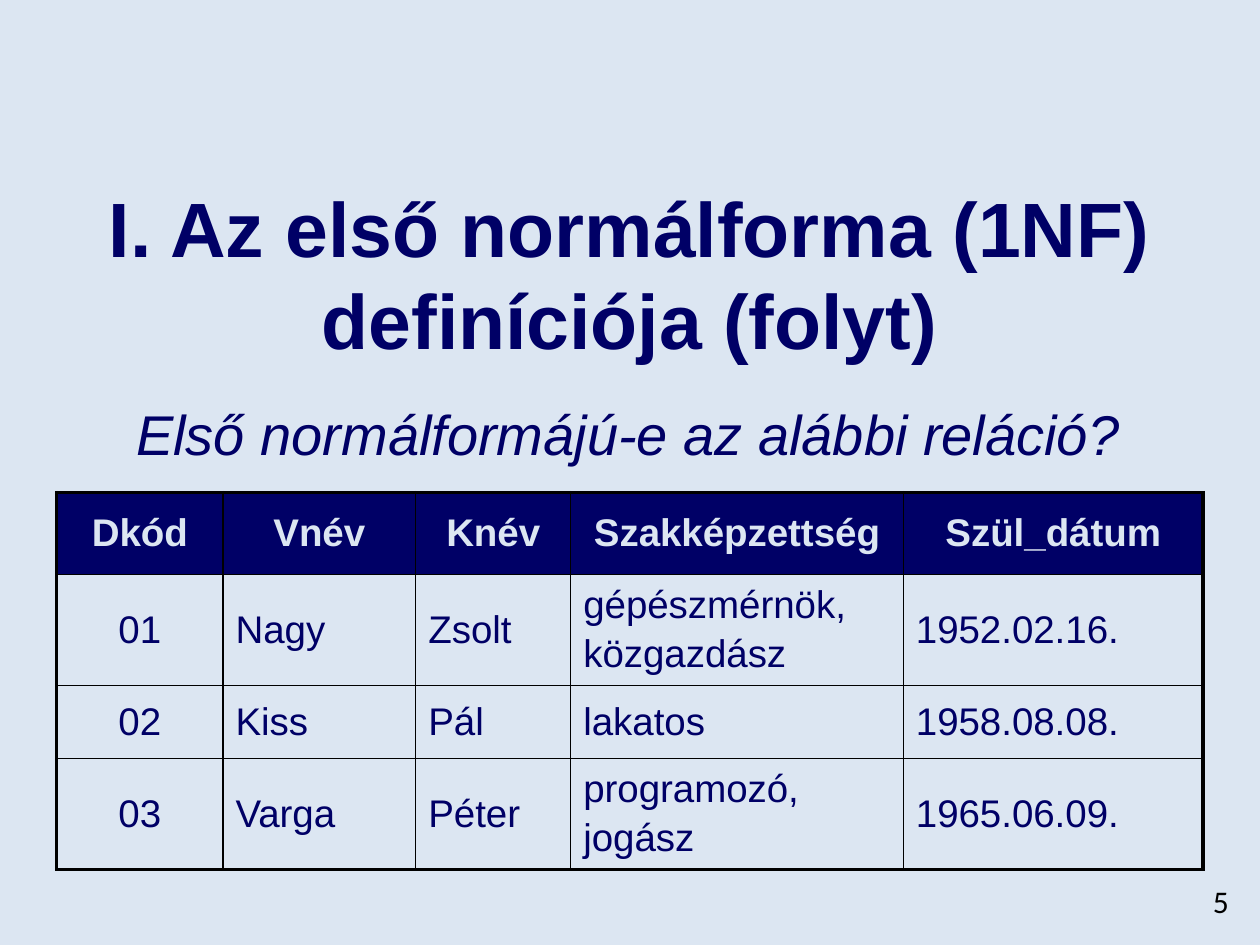
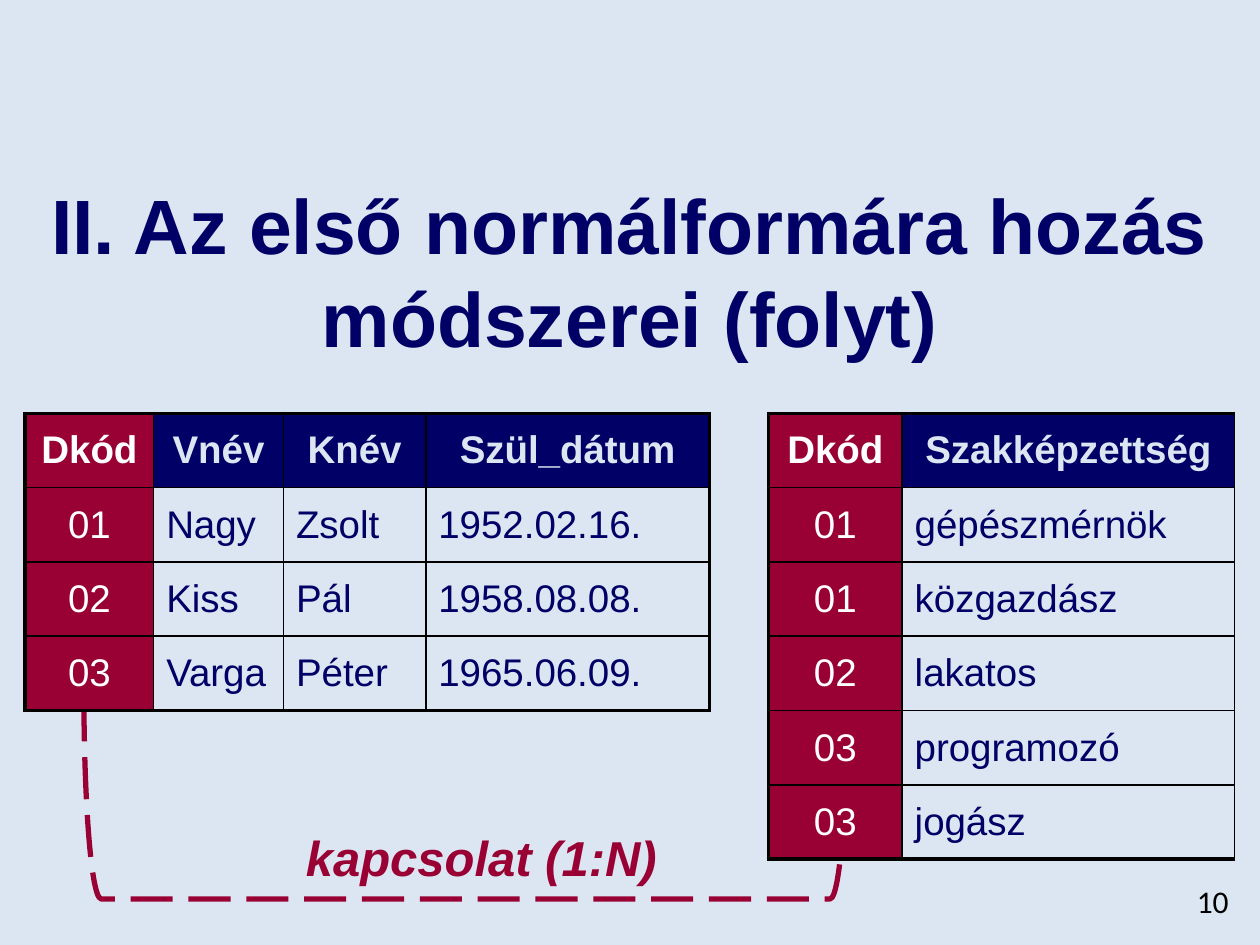
"""Build two slides on the first normal form with relation tables."""
import pptx
import pptx.dml.color
import pptx.enum.dml
import pptx.enum.shapes
import pptx.enum.text
import pptx.oxml
import pptx.oxml.ns
import pptx.util

Inches = pptx.util.Inches
Pt = pptx.util.Pt
RGBColor = pptx.dml.color.RGBColor
ALIGN = pptx.enum.text.PP_ALIGN
ANCHOR = pptx.enum.text.MSO_ANCHOR

PALE = RGBColor(0xDC, 0xE6, 0xF2)
NAVY = RGBColor(0x00, 0x00, 0x66)
CRIMSON = RGBColor(0x99, 0x00, 0x33)
WHITE = RGBColor(0xFF, 0xFF, 0xFF)
BLACK = RGBColor(0x00, 0x00, 0x00)
THICK, THIN = 2.25, 1

SLIDES = [
    {
        "title": "I. Az első normálforma (1NF) definíciója (folyt)",
        "title_height": 1.61,
        "number": "5",
        "body": {
            "text": "Első normálformájú-e az alábbi reláció?",
            "box": (0.98, 3.12, 8.03, 0.79),
            "size": 32, "color": NAVY, "bold": False,
            "align": ALIGN.LEFT, "anchor": ANCHOR.TOP,
        },
        "tables": [
            {
                "at": (0.45, 3.91),
                "columns": [1.32, 1.53, 1.23, 2.64, 2.38],
                "heights": [0.65, 0.85, 0.58, 0.84],
                "key_fill": None,
                "right_border": THICK,
                "rows": [
                    ["Dkód", "Vnév", "Knév", "Szakképzettség", "Szül_dátum"],
                    ["01", "Nagy", "Zsolt", "gépészmérnök,\nközgazdász", "1952.02.16."],
                    ["02", "Kiss", "Pál", "lakatos", "1958.08.08."],
                    ["03", "Varga", "Péter", "programozó,\njogász", "1965.06.09."],
                ],
            },
        ],
    },
    {
        "title": "II. Az első normálformára hozás módszerei (folyt)",
        "title_height": 1.57,
        "number": "10",
        "body": {
            "text": "kapcsolat (1:N)",
            "box": (2.09, 6.46, 3.46, 0.68),
            "size": 28, "color": CRIMSON, "bold": True,
            "align": ALIGN.CENTER, "anchor": ANCHOR.MIDDLE,
        },
        "bracket": (2.87, 3.28, 1.65, 6.06),
        "tables": [
            {
                "at": (0.2, 3.28),
                "columns": [1.02, 1.03, 1.13, 2.25],
                "heights": [0.59] * 4,
                "key_fill": CRIMSON,
                "right_border": THICK,
                "rows": [
                    ["Dkód", "Vnév", "Knév", "Szül_dátum"],
                    ["01", "Nagy", "Zsolt", "1952.02.16."],
                    ["02", "Kiss", "Pál", "1958.08.08."],
                    ["03", "Varga", "Péter", "1965.06.09."],
                ],
            },
            {
                "at": (6.1, 3.28),
                "columns": [1.06, 2.64],
                "heights": [0.59] * 6,
                "key_fill": CRIMSON,
                "right_border": THIN,
                "rows": [
                    ["Dkód", "Szakképzettség"],
                    ["01", "gépészmérnök"],
                    ["01", "közgazdász"],
                    ["02", "lakatos"],
                    ["03", "programozó"],
                    ["03", "jogász"],
                ],
            },
        ],
    },
]


def place(shape, box):
    shape.left, shape.top, shape.width, shape.height = map(Inches, box)


def write(text_frame, text, size, color, bold=False, italic=False,
          align=ALIGN.LEFT, font_name="Arial", space_before=0):
    text_frame.text = text
    for paragraph in text_frame.paragraphs:
        paragraph.alignment = align
        paragraph.space_before = Pt(space_before)
        for run in paragraph.runs:
            font = run.font
            font.name, font.size = font_name, Pt(size)
            font.bold, font.italic = bold, italic
            font.color.rgb = color


def add_title(slide, text, height):
    title = slide.shapes.title
    place(title, (0, 1.36, 10, height))
    write(title.text_frame, text, 44, NAVY, bold=True, align=ALIGN.CENTER)
    title.text_frame.vertical_anchor = ANCHOR.MIDDLE
    title.text_frame.auto_size = pptx.enum.text.MSO_AUTO_SIZE.NONE


def add_body(slide, body):
    shape = slide.placeholders[1]
    place(shape, body["box"])
    text_frame = shape.text_frame
    write(text_frame, body["text"], body["size"], body["color"], body["bold"],
          italic=True, align=body["align"], space_before=18)
    text_frame.vertical_anchor = body["anchor"]
    text_frame.auto_size = pptx.enum.text.MSO_AUTO_SIZE.NONE
    if body["align"] == ALIGN.LEFT:
        text_frame.margin_right = 0
    properties = text_frame.paragraphs[0]._p.get_or_add_pPr()
    properties.set("marL", "0")
    properties.set("indent", "0")
    properties.append(pptx.oxml.parse_xml(
        f'<a:buNone {pptx.oxml.ns.nsdecls("a")}/>'))


def add_number(slide, number):
    box = slide.shapes.add_textbox(*map(Inches, (7.17, 6.95, 2.68, 0.4)))
    box.text_frame.word_wrap = True
    write(box.text_frame, number, 18, BLACK, align=ALIGN.RIGHT, font_name="Calibri")


def add_bracket(slide, box):
    bracket = slide.shapes.add_shape(
        pptx.enum.shapes.MSO_SHAPE.RIGHT_BRACKET, *map(Inches, box))
    bracket.rotation = 90
    bracket.shadow.inherit = False
    bracket.fill.background()
    bracket.line.color.rgb = CRIMSON
    bracket.line.width = Pt(3)
    bracket.line.dash_style = pptx.enum.dml.MSO_LINE.LONG_DASH


def set_borders(cell, widths):
    properties = cell._tc.get_or_add_tcPr()
    for side, width in zip("LRTB", widths):
        properties.append(pptx.oxml.parse_xml(
            f'<a:ln{side} {pptx.oxml.ns.nsdecls("a")} w="{Pt(width)}">'
            f'<a:solidFill><a:srgbClr val="{BLACK}"/></a:solidFill></a:ln{side}>'))


def add_relation(slide, relation):
    rows, columns, heights = (relation[key] for key in ("rows", "columns", "heights"))
    frame = slide.shapes.add_table(
        len(rows), len(columns), *map(Inches, relation["at"]),
        Inches(sum(columns)), Inches(sum(heights)))
    table = frame.table
    table.first_row = table.horz_banding = False
    for column, width in zip(table.columns, columns):
        column.width = Inches(width)
    for row, height in zip(table.rows, heights):
        row.height = Inches(height)
    last_row, last_column = len(rows) - 1, len(columns) - 1
    for i, values in enumerate(rows):
        for j, value in enumerate(values):
            cell = table.cell(i, j)
            header, key = i == 0, j == 0
            set_borders(cell, (
                THICK if key else THIN,
                relation["right_border"] if j == last_column else THIN,
                THICK if header else THIN,
                THICK if i == last_row else THIN))
            fill = NAVY if header else None
            color = PALE if header else NAVY
            if key and relation["key_fill"]:
                fill, color = relation["key_fill"], WHITE
            if fill:
                cell.fill.solid()
                cell.fill.fore_color.rgb = fill
            else:
                cell.fill.background()
            cell.vertical_anchor = ANCHOR.MIDDLE
            write(cell.text_frame, value, 22, color, bold=header,
                  align=ALIGN.CENTER if header or key else ALIGN.LEFT,
                  space_before=3.4)


def main():
    presentation = pptx.Presentation()
    presentation.slide_width, presentation.slide_height = Inches(10), Inches(7.5)
    background = presentation.slide_master.background.fill
    background.solid()
    background.fore_color.rgb = PALE
    for content in SLIDES:
        slide = presentation.slides.add_slide(presentation.slide_layouts[1])
        add_title(slide, content["title"], content["title_height"])
        add_body(slide, content["body"])
        add_number(slide, content["number"])
        if "bracket" in content:
            add_bracket(slide, content["bracket"])
        for relation in content["tables"]:
            add_relation(slide, relation)
    presentation.save("out.pptx")


if __name__ == "__main__":
    main()
